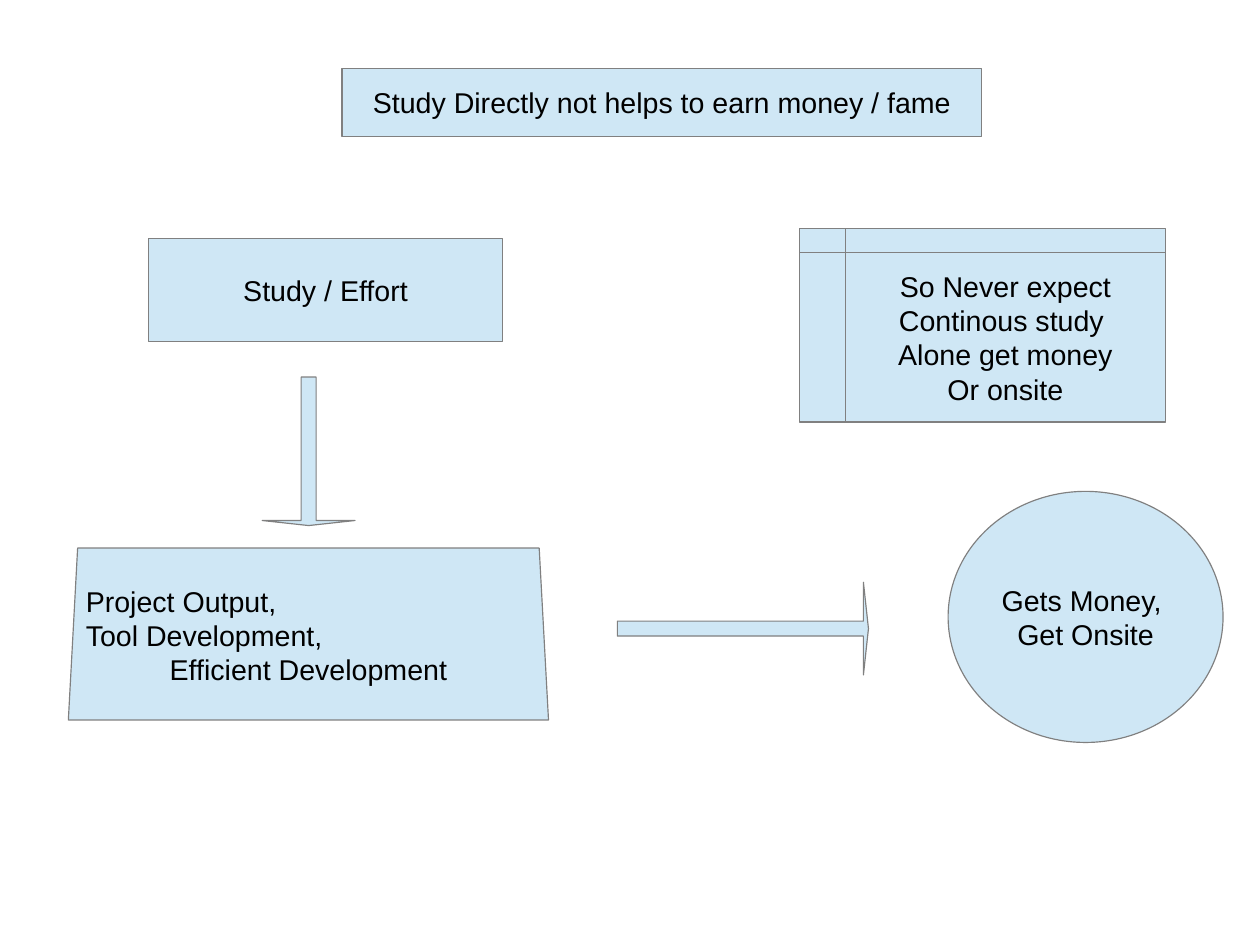
from dataclasses import dataclass

from pptx import Presentation
from pptx import util as u
from pptx.dml import color
from pptx.enum import shapes, text

KIND = shapes.MSO_SHAPE
MID = text.PP_ALIGN.CENTER
LEFT = text.PP_ALIGN.LEFT


@dataclass
class Node:
    kind: KIND
    box: tuple[float, float, float, float]  # left, top, width, height in cm
    lines: tuple[str, ...] = ()
    adjust: tuple[float, ...] = ()
    left: int = 0  # number of leading lines set flush left


ARROW = (0.162, 0.054)

NODES = [
    Node(KIND.RECTANGLE, (7.6, 1.52, 14.22, 1.52),
         ("Study Directly not helps to earn money / fame",)),
    Node(KIND.RECTANGLE, (3.3, 5.31, 7.87, 2.29), ("Study / Effort",)),
    Node(KIND.RIGHT_ARROW, (13.72, 12.94, 5.58, 2.06), adjust=ARROW),
    Node(KIND.OVAL, (21.07, 10.92, 6.11, 5.58),
         ("Gets Money, ", "Get Onsite")),
    Node(KIND.DOWN_ARROW, (5.83, 8.38, 2.06, 3.3), adjust=ARROW),
    Node(KIND.TRAPEZOID, (1.52, 12.18, 10.67, 3.82),
         ("Project Output,", "Tool Development,", "Efficient Development"),
         (0.054,), left=2),
    Node(KIND.FLOWCHART_INTERNAL_STORAGE, (17.77, 5.08, 8.13, 4.3),
         ("So Never expect", "Continous study ", "Alone get money",
          "Or onsite")),
]


def paint(target, shade: str) -> None:
    target.rgb = color.RGBColor.from_string(shade)


def write(frame, node: Node) -> None:
    frame.word_wrap = node.left > 0
    frame.vertical_anchor = text.MSO_ANCHOR.MIDDLE
    for i, line in enumerate(node.lines):
        para = frame.paragraphs[0] if i == 0 else frame.add_paragraph()
        para.text = line
        para.alignment = LEFT if i < node.left else MID
        para.font.name = "Arial"
        para.font.size = u.Pt(18)
        paint(para.font.color, "000000")


def draw(slide, node: Node) -> None:
    shape = slide.shapes.add_shape(node.kind, *map(u.Cm, node.box))
    for i, value in enumerate(node.adjust):
        shape.adjustments[i] = value
    shape.shadow.inherit = False
    shape.fill.solid()
    paint(shape.fill.fore_color, "CFE7F5")
    paint(shape.line.color, "808080")
    shape.line.width = u.Pt(0.75)
    if node.lines:
        write(shape.text_frame, node)


def main() -> None:
    # Page
    deck = Presentation()
    deck.slide_width, deck.slide_height = u.Cm(28), u.Cm(21)
    slide = deck.slides.add_slide(deck.slide_layouts[6])

    # Flow from study to reward
    for node in NODES:
        draw(slide, node)
    deck.save("out.pptx")


if __name__ == "__main__":
    main()
